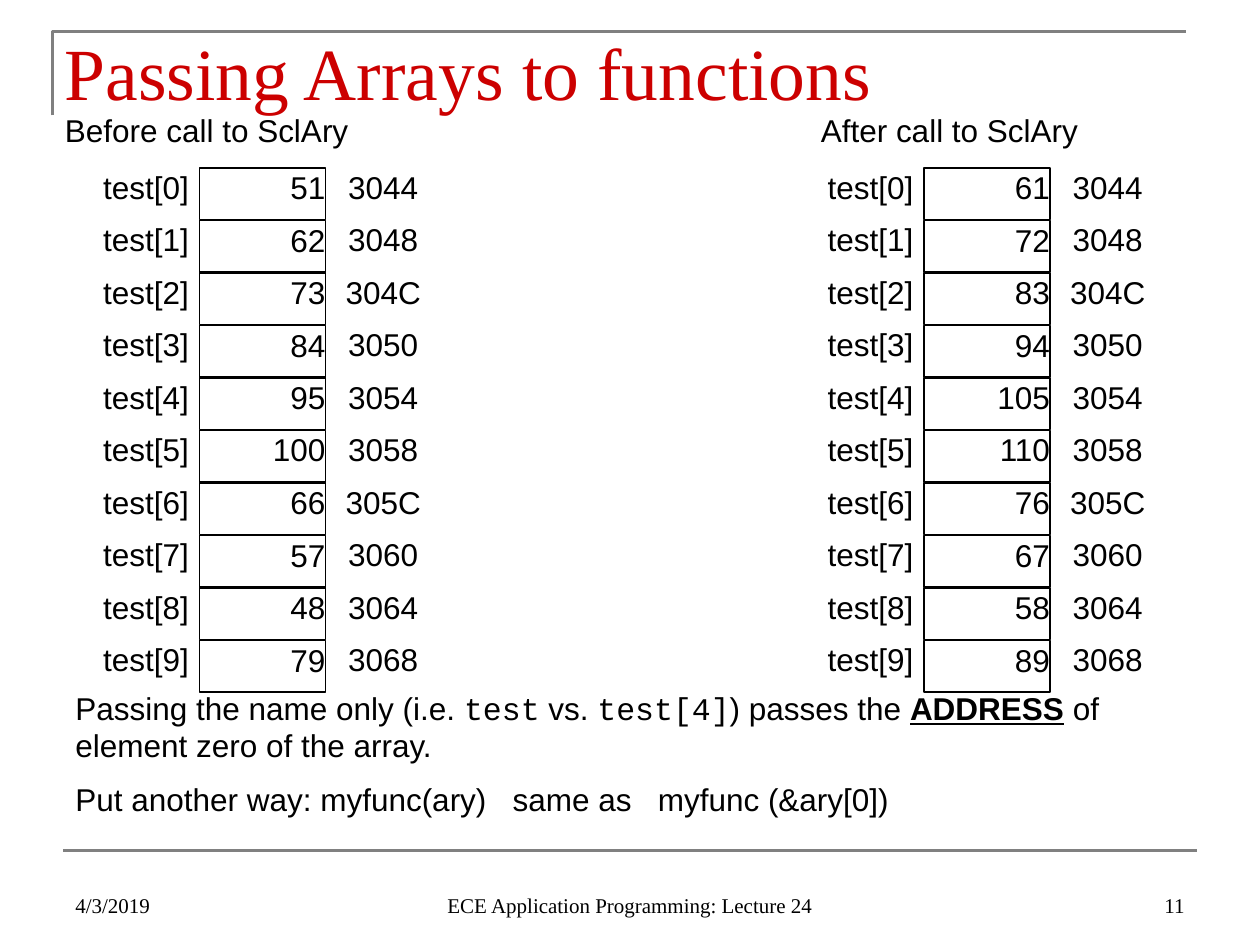
from dataclasses import dataclass

from lxml import etree
from pptx import Presentation
from pptx.dml.color import RGBColor
from pptx.enum.shapes import MSO_CONNECTOR, MSO_SHAPE
from pptx.enum.text import MSO_ANCHOR, PP_ALIGN
from pptx.oxml.ns import qn
from pptx.util import Emu, Pt

EMU_PER_PX = 7620
LEFT, CENTER, RIGHT = PP_ALIGN.LEFT, PP_ALIGN.CENTER, PP_ALIGN.RIGHT
TOP, BOTTOM = MSO_ANCHOR.TOP, MSO_ANCHOR.BOTTOM
RECTANGLE, STRAIGHT = MSO_SHAPE.RECTANGLE, MSO_CONNECTOR.STRAIGHT
SANS, SERIF, MONO = "Arial", "Times New Roman", "Courier New"
BLACK, RED, GRAY = "000000", "CC0000", "808080"

GRID_TOP, ROW_PITCH = 160, 50
LABEL_WIDTH, LABEL_HEIGHT = 110, 48
CELL_WIDTH, CELL_HEIGHT = 120, 49
CELL_OFFSET, ADDRESS_OFFSET = 120, 240
FIRST_ADDRESS, ELEMENT_BYTES = 0x3044, 4


@dataclass(frozen=True)
class ArrayState:
    left: int
    values: tuple[int, ...]


@dataclass(frozen=True)
class Label:
    text: str
    left: int
    top: int
    width: int
    height: int
    align: PP_ALIGN = LEFT
    anchor: MSO_ANCHOR = TOP
    size: int = 18
    font: str = SANS
    color: str = BLACK
    inset_x: int = 12
    inset_y: int = 6


@dataclass(frozen=True)
class Span:
    text: str
    font: str = SANS
    strong: bool = False


ARRAYS = (
    ArrayState(70, (51, 62, 73, 84, 95, 100, 66, 57, 48, 79)),
    ArrayState(760, (61, 72, 83, 94, 105, 110, 76, 67, 58, 89)),
)
TITLE = Label("Passing Arrays to functions", 50, 20, 1160, 70,
              size=42, font=SERIF, color=RED)
HEADINGS = Label("Before call to SclAry\tAfter call to SclAry", 50, 100, 1080, 60)
FOOTERS = (
    Label("4/3/2019", 60, 820, 280, 60, LEFT, BOTTOM, 12, SERIF),
    Label("11", 860, 820, 280, 60, RIGHT, BOTTOM, 12, SERIF),
    Label("ECE Application Programming: Lecture 24", 410, 820, 380, 60,
          CENTER, BOTTOM, 12, SERIF),
)
EXPLANATION = (
    (
        Span("Passing the name only (i.e. "),
        Span("test", MONO),
        Span(" vs. "),
        Span("test[4]", MONO),
        Span(") passes the "),
        Span("ADDRESS", strong=True),
        Span(" of element zero of the array."),
    ),
    (Span("Put another way: myfunc(ary)   same as   myfunc (&ary[0])"),),
)


def px(length: int) -> Emu:
    return Emu(length * EMU_PER_PX)


def rgb(color: str) -> RGBColor:
    return RGBColor.from_string(color)


def set_line(shape, color: str, points: float) -> None:
    shape.line.color.rgb = rgb(color)
    shape.line.width = Pt(points)


def fill_text(shape, label: Label):
    frame = shape.text_frame
    frame.word_wrap = True
    frame.vertical_anchor = label.anchor
    frame.margin_left = frame.margin_right = px(label.inset_x)
    frame.margin_top = frame.margin_bottom = px(label.inset_y)
    para = frame.paragraphs[0]
    para.text = label.text
    para.alignment = label.align
    para.font.size = Pt(label.size)
    para.font.name = label.font
    para.font.color.rgb = rgb(label.color)
    return para


def bounds(label: Label) -> tuple[Emu, ...]:
    return tuple(map(px, (label.left, label.top, label.width, label.height)))


def add_label(page, label: Label):
    return fill_text(page.shapes.add_textbox(*bounds(label)), label)


def add_cell(page, label: Label) -> None:
    cell = page.shapes.add_shape(RECTANGLE, *bounds(label))
    cell.shadow.inherit = False
    cell.fill.background()
    set_line(cell, BLACK, 0.75)
    fill_text(cell, label)


def add_array(page, array: ArrayState) -> None:
    for index, value in enumerate(array.values):
        top = GRID_TOP + index * ROW_PITCH
        address = f"{FIRST_ADDRESS + index * ELEMENT_BYTES:X}"
        add_label(page, Label(f"test[{index}]", array.left, top, LABEL_WIDTH,
                              LABEL_HEIGHT, RIGHT, inset_x=0, inset_y=0))
        add_cell(page, Label(str(value), array.left + CELL_OFFSET, top, CELL_WIDTH,
                             CELL_HEIGHT, RIGHT, inset_x=0, inset_y=0))
        add_label(page, Label(address, array.left + ADDRESS_OFFSET, top, LABEL_WIDTH,
                              LABEL_HEIGHT, CENTER, inset_x=0, inset_y=0))


def add_rules(page) -> None:
    builder = page.shapes.build_freeform(50, 110, EMU_PER_PX)
    builder.add_line_segments([(50, 30), (1130, 30)], close=False)
    corner = builder.convert_to_shape()
    corner.shadow.inherit = False
    corner.fill.background()
    set_line(corner, GRAY, 1.5)
    rule = page.shapes.add_connector(STRAIGHT, px(60), px(810), px(1140), px(810))
    set_line(rule, GRAY, 1.5)
    etree.SubElement(rule._element.spPr, qn("a:effectLst"))


def add_headings(page) -> None:
    para = add_label(page, HEADINGS)
    properties = para._p.get_or_add_pPr()
    tabs = etree.Element(qn("a:tabLst"))
    etree.SubElement(tabs, qn("a:tab"), pos=str(px(720)), algn="l")
    properties.insert(0, tabs)


def add_explanation(page) -> None:
    box = page.shapes.add_textbox(px(60), px(650), px(1080), px(139))
    frame = box.text_frame
    frame.word_wrap = True
    for index, spans in enumerate(EXPLANATION):
        para = frame.add_paragraph() if index else frame.paragraphs[0]
        if index:
            para.space_before = Pt(9)
        para.font.size = Pt(18)
        para.font.color.rgb = rgb(BLACK)
        for span in spans:
            run = para.add_run()
            run.text = span.text
            run.font.name = span.font
            if span.strong:
                run.font.bold = run.font.underline = True


def main() -> None:
    deck = Presentation()
    deck.slide_width, deck.slide_height = px(1200), px(900)
    page = deck.slides.add_slide(deck.slide_layouts[6])
    add_rules(page)
    add_label(page, TITLE)
    for array in ARRAYS:
        add_array(page, array)
    add_headings(page)
    add_explanation(page)
    for footer in FOOTERS:
        add_label(page, footer)
    deck.save("out.pptx")


if __name__ == "__main__":
    main()
